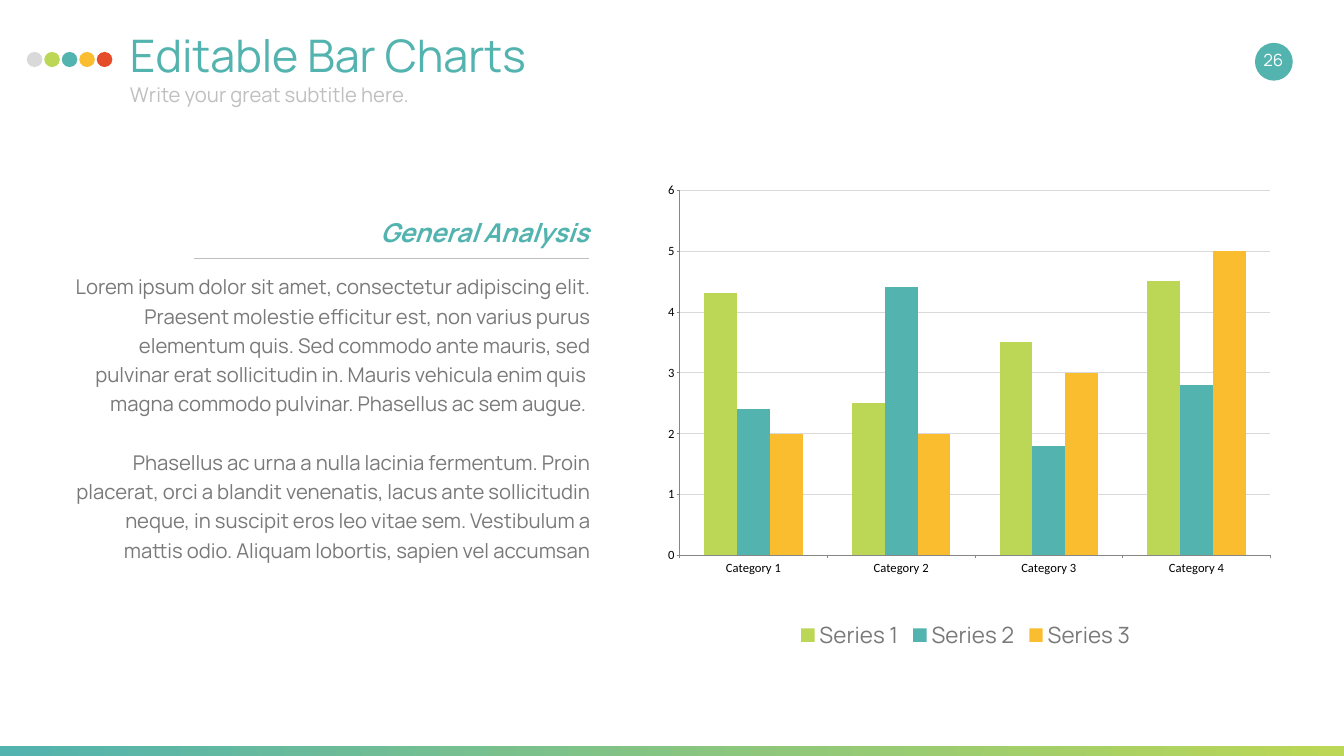
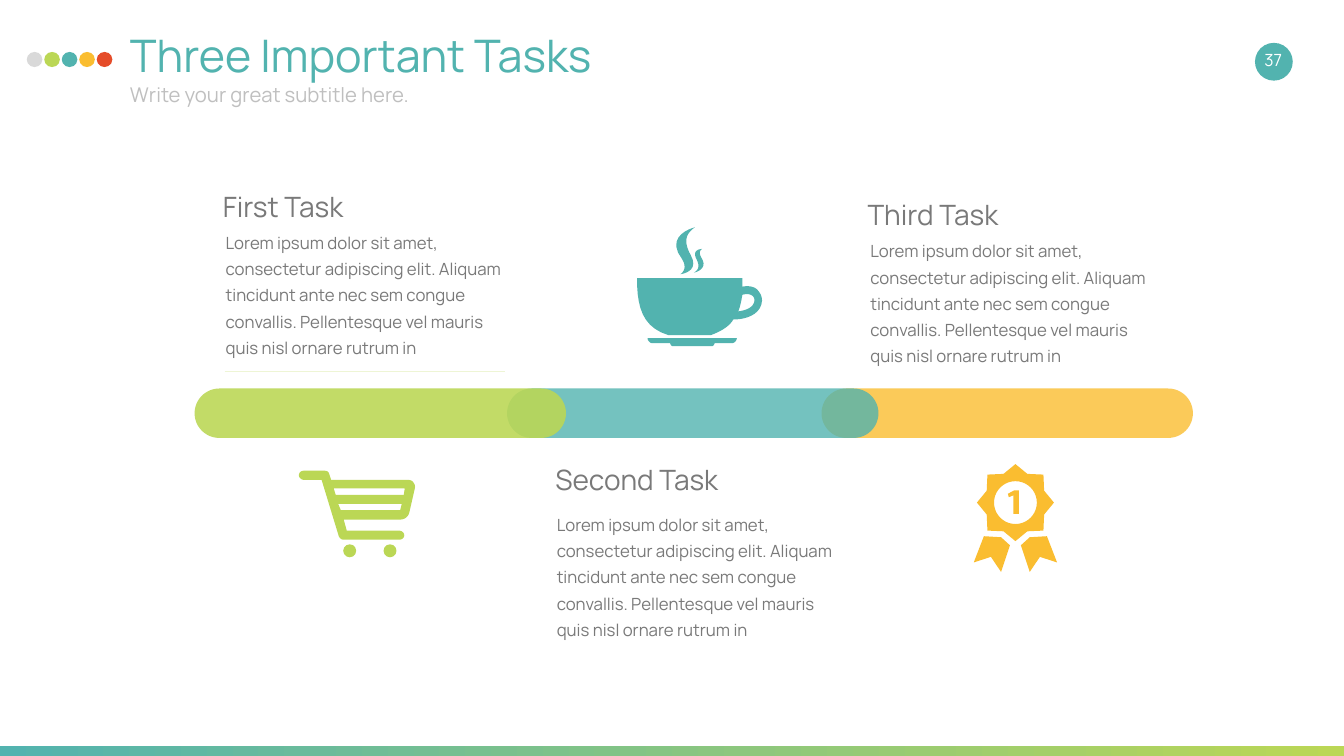
import pptx
import pptx.chart.data
import pptx.dml.color
import pptx.enum.chart
import pptx.enum.dml
import pptx.enum.shapes
import pptx.enum.text
import pptx.oxml
import pptx.oxml.ns
import pptx.util
from lxml import etree

Pt = pptx.util.Pt
RGB = pptx.dml.color.RGBColor
SHAPE = pptx.enum.shapes.MSO_SHAPE
ALIGN = pptx.enum.text.PP_ALIGN
ANCHOR = pptx.enum.text.MSO_ANCHOR
CHART = pptx.enum.chart
qn = pptx.oxml.ns.qn

TEAL = RGB(0x52, 0xB3, 0xAF)
LIME = RGB(0xBB, 0xD7, 0x55)
GOLD = RGB(0xFA, 0xBD, 0x30)
RED = RGB(0xE5, 0x4C, 0x29)
PALE = RGB(0xD9, 0xD9, 0xD9)
SILVER = RGB(0xBF, 0xBF, 0xBF)
GREY = RGB(0x79, 0x79, 0x79)
AXIS = RGB(0x86, 0x86, 0x86)
MIST = RGB(0xEE, 0xF5, 0xD5)
WHITE = RGB(0xFF, 0xFF, 0xFF)
BLACK = RGB(0, 0, 0)
FACE = "Manrope"

# ---- Content ----
SUBTITLE = "Write your great subtitle here."
DOTS = [PALE, LIME, TEAL, GOLD, RED]

HEADING = "General Analysis"
ANALYSIS = [
    "Lorem ipsum dolor sit amet, consectetur adipiscing elit. Praesent molestie "
    "efficitur est, non varius purus elementum quis. Sed commodo ante mauris, sed "
    "pulvinar erat sollicitudin in. Mauris vehicula enim quis ",
    "magna commodo pulvinar. Phasellus ac sem augue. ",
    "Phasellus ac urna a nulla lacinia fermentum. Proin placerat, orci a blandit "
    "venenatis, lacus ante sollicitudin neque, in suscipit eros leo vitae sem. "
    "Vestibulum a mattis odio. Aliquam lobortis, sapien vel accumsan",
]
GROUPS = ["Category 1", "Category 2", "Category 3", "Category 4"]
SERIES = [
    ("Series 1", (4.3, 2.5, 3.5, 4.5), LIME),
    ("Series 2", (2.4, 4.4, 1.8, 2.8), TEAL),
    ("Series 3", (2, 2, 3, 5), GOLD),
]

TASK = ("Lorem ipsum dolor sit amet, consectetur adipiscing elit. Aliquam tincidunt "
        "ante nec sem congue convallis. Pellentesque vel mauris quis nisl ornare "
        "rutrum in")
# name, name corner, text corner
TASKS = [
    ("First Task", (299, 270), (303, 314)),
    ("Second Task", (774, 660), (776, 717)),
    ("Third Task", (1220, 282), (1224, 326)),
]
# left edge, colour, opacity in percent; from back to front
BARS = [(1173.6, GOLD, 80), (724.4, TEAL, 80), (278, LIME, 89)]

# Outlines: a pair is a corner, six numbers are a Bezier curve.
CART = [
    [(7, 13), (32.4, 13), (57, 93.6), (58.3, 96.5, 61, 98.6, 64, 98.6),
     (143.3, 98.6), (147, 98.6, 150.5, 95.8, 150.5, 92.2),
     (150.5, 88.6, 147, 85.7, 143.3, 85.7), (68.4, 85.7), (64, 69.8),
     (144.7, 69.8), (151.2, 69.8, 156.2, 65.5, 157.7, 59.8), (165.6, 25.2),
     (166.3, 21.6, 165.6, 19.4, 163.4, 16.6), (162, 13.7, 157.7, 13, 154.8, 13),
     (46, 13), (43.2, 4.3), (42.5, 1.4, 39.6, 0, 36.7, 0), (7, 0),
     (3.6, 0, 0, 2.2, 0, 6.5), (0, 10, 3.6, 13, 7, 13)],
    [(144.7, 56.2), (59.8, 56.2), (56.2, 47.5), (146.9, 47.5)],
    [(49.7, 25.2), (151.2, 25.2), (149.8, 34.6), (52.6, 34.6)],
]
SAUCER = [
    [(22.3, 165.6), (47.5, 165.6), (47.5, 167, 49, 169.9, 51.8, 169.9),
     (107.3, 169.9), (108.7, 169.9, 110.9, 167, 110.9, 165.6), (135.4, 165.6),
     (139.7, 165.6, 142.6, 161.3, 142.6, 158.4), (15.1, 158.4),
     (15.1, 161.3, 18, 165.6, 22.3, 165.6)],
]
BOWL = [
    [(172, 89.3), (166.3, 83.5, 156.2, 83.5, 150.5, 85), (150.5, 72.7),
     (0, 72.7), (0, 113, 7.2, 142.6, 44.6, 154), (105.8, 154),
     (121, 148.3, 132.5, 141, 137.5, 131.8), (153.4, 131.8, 177, 126, 178.6, 105),
     (178.6, 96.5, 174.2, 92.2, 172, 89.3)],
    [(144.7, 120.2), (147.6, 113, 149, 105, 150.5, 96.5),
     (154.8, 95, 162, 95, 165, 98), (165, 98, 167.8, 99.4, 167.8, 105),
     (166.3, 116, 153.4, 118.8, 144.7, 120.2)],
]
STEAM = [
    [(62, 67), (62, 67, 90, 64, 77, 40.3), (66.2, 20.9, 69, 9.4, 82.8, 0),
     (82.8, 0, 37.4, 10.8, 64.8, 46), (73.4, 60.5, 62, 67, 62, 67)],
]
WISP = [
    [(81.4, 64.8), (81.4, 64.8, 103.7, 60.5, 91.4, 42.5),
     (87, 33.8, 92.9, 31, 92.9, 31), (92.9, 31, 78.5, 31, 84.2, 44),
     (90, 54.7, 88.6, 60.5, 81.4, 64.8)],
]
TAIL = [(-45, 48), (-59.5, 85.5), (-35, 77.5), (-20.5, 99), (-7.8, 61), (-20.5, 49.5)]
ONE = [(-10.8, -12.6), (-9.4, -7.6), (-2.9, -10.4), (-2.9, 16.2), (5, 16.2),
       (5, -17.6), (-1.4, -17.6)]
EDGE = [(0, -55), (17, -41), (40, -40), (41, -17)]
ARC = [(16.9, -30.6, 30.6, -16.9, 30.6, 0)]


# ---- Helpers ----
def apply(item, values):
    for name, value in values.items():
        setattr(item, name, value)


def style(font, size, color, face=FACE, **more):
    apply(font, {"size": Pt(size), "name": face, **more})
    font.color.rgb = color


def paint(shape, color, alpha=100):
    """Give a shape a plain fill, no line and no shadow."""
    shape.shadow.inherit = False
    shape.line.fill.background()
    shape.fill.solid()
    shape.fill.fore_color.rgb = color
    if alpha < 100:
        tint = shape.fill._xPr.find(".//" + qn("a:srgbClr"))
        etree.SubElement(tint, qn("a:alpha")).set("val", str(alpha * 1000))
    return shape


def add(slide, kind, box, color, alpha=100):
    shape = slide.shapes.add_shape(kind, *map(Pt, box))
    return paint(shape, color, alpha)


def write(slide, box, lines, size, color, align=ALIGN.LEFT, anchor=ANCHOR.TOP,
          pad=9.4, space=None, gaps=(), grow=False, **look):
    """Add a text box; gaps holds the paragraphs that stand one line apart."""
    frame = slide.shapes.add_textbox(*map(Pt, box)).text_frame
    fit = pptx.enum.text.MSO_AUTO_SIZE
    apply(frame, {
        "word_wrap": True, "vertical_anchor": anchor,
        "auto_size": fit.SHAPE_TO_FIT_TEXT if grow else fit.NONE,
        "margin_left": Pt(19.4), "margin_right": Pt(19.4),
        "margin_top": Pt(pad), "margin_bottom": Pt(pad)})
    for i, line in enumerate(lines):
        para = frame.paragraphs[0] if i == 0 else frame.add_paragraph()
        apply(para, {"alignment": align, "line_spacing": space})
        if i in gaps:
            para.space_before = Pt(42)
        run = para.add_run()
        run.text = line
        style(run.font, size, color, **look)


def rule(slide, left, right, y, color, width):
    line = slide.shapes.add_connector(
        pptx.enum.shapes.MSO_CONNECTOR.STRAIGHT, Pt(left), Pt(y), Pt(right), Pt(y))
    line.line.color.rgb = color
    line.line.width = Pt(width)
    etree.SubElement(line._element.spPr, qn("a:effectLst"))


def flatten(loop, steps=10):
    """Turn an outline with curves into a list of points."""
    points = []
    for part in loop:
        if len(part) == 2:
            points.append(part)
            continue
        start = points[-1]
        for t in (n / steps for n in range(1, steps + 1)):
            u = 1 - t
            points.append(tuple(
                u**3 * start[k] + 3 * u * u * t * part[k]
                + 3 * u * t * t * part[k + 2] + t**3 * part[k + 4] for k in (0, 1)))
    return points


def trace(slide, corner, loops, color):
    paths = [[(Pt(corner[0] + x), Pt(corner[1] + y)) for x, y in flatten(loop)]
             for loop in loops]
    pen = slide.shapes.build_freeform(*paths[0][0])
    for i, points in enumerate(paths):
        if i:
            pen.move_to(*points[0])
        pen.add_line_segments(points[1:], close=True)
    paint(pen.convert_to_shape(), color)


def spin(parts):
    """Repeat a quarter outline four times around the centre."""
    whole = []
    for _ in range(4):
        whole += parts
        parts = [tuple(v for x, y in zip(p[::2], p[1::2]) for v in (-y, x))
                 for p in parts]
    return whole


def start(deck, title, number):
    """Add a slide with the shared band, dots, titles and page number."""
    slide = deck.slides.add_slide(deck.slide_layouts[6])
    band = add(slide, SHAPE.RECTANGLE, (0, 1065, 1920, 27), TEAL)
    band.fill.gradient()
    band.fill.gradient_angle = 0
    for stop, color in zip(band.fill.gradient_stops, (TEAL, LIME)):
        stop.color.rgb = color
    add(slide, SHAPE.OVAL, (1792.8, 61.2, 54, 54), TEAL)
    for i, color in enumerate(DOTS):
        add(slide, SHAPE.OVAL, (38.2 + 25 * i, 74.2, 22.3, 21.6), color)
    write(slide, (166.3, 29.5, 1530, 115), [title], 64, TEAL)
    write(slide, (166.3, 108, 1530, 61), [SUBTITLE], 29, SILVER)
    write(slide, (1777, 56.2, 84, 57.6), [str(number)], 24, WHITE,
          ALIGN.CENTER, ANCHOR.MIDDLE)
    return slide


def plot(slide):
    data = pptx.chart.data.CategoryChartData()
    data.categories = GROUPS
    for name, values, _ in SERIES:
        data.add_series(name, values)
    chart = slide.shapes.add_chart(
        CHART.XL_CHART_TYPE.COLUMN_CLUSTERED,
        *map(Pt, (935.3, 257.8, 888.5, 678.2)), data).chart
    style(chart.font, 18, BLACK, "Calibri")
    apply(chart, {"has_title": False, "has_legend": True})
    apply(chart.legend, {"position": CHART.XL_LEGEND_POSITION.BOTTOM,
                         "include_in_layout": False})
    style(chart.legend.font, 32, GREY)
    apply(chart.plots[0], {"gap_width": 150, "overlap": 0, "vary_by_categories": False})
    for series, (_, _, color) in zip(chart.plots[0].series, SERIES):
        series.format.fill.solid()
        series.format.fill.fore_color.rgb = color
    for axis in (chart.category_axis, chart.value_axis):
        axis.major_tick_mark = CHART.XL_TICK_MARK.OUTSIDE
        axis.format.line.color.rgb = AXIS
    scale = chart.value_axis
    apply(scale, {"minimum_scale": 0, "maximum_scale": 6, "major_unit": 1,
                  "has_major_gridlines": True})
    scale.major_gridlines.format.line.color.rgb = PALE
    scale.major_gridlines.format.line.width = Pt(0.75)

    area = chart._chartSpace.chart.plotArea
    for old in area.findall(qn("c:layout")):
        area.remove(old)
    layout = etree.Element(qn("c:layout"))
    area.insert(0, layout)
    inner = etree.SubElement(layout, qn("c:manualLayout"))
    for tag, value in (("layoutTarget", "inner"), ("xMode", "edge"), ("yMode", "edge"),
                       ("x", 0.04), ("y", 0.02), ("w", 0.95), ("h", 0.77)):
        etree.SubElement(inner, qn("c:" + tag)).set("val", str(value))


# ---- Slides ----
def charts(deck):
    slide = start(deck, "Editable Bar Charts", 26)
    plot(slide)
    write(slide, (77.8, 375.8, 785.5, 482.4), ANALYSIS, 29, GREY, ALIGN.RIGHT,
          space=1.2, gaps=(2,))
    write(slide, (81.4, 291.6, 779, 72), [HEADING], 37, TEAL, ALIGN.RIGHT,
          space=1.2, grow=True, bold=True, italic=True)
    rule(slide, 276.5, 841.7, 368, SILVER, 0.25)


def tasks(deck):
    slide = start(deck, "Three Important Tasks", 37)
    for left, color, alpha in BARS:
        bar = add(slide, SHAPE.ROUNDED_RECTANGLE, (left, 555, 530.6, 70.6), color, alpha)
        bar.adjustments[0] = 0.5
    rule(slide, 321, 722, 530.6, MIST, 2)
    for name, head, body in TASKS:
        write(slide, (*body, 440, 206.6), [TASK], 24, GREY, anchor=ANCHOR.MIDDLE,
              space=1.3, grow=True)
        write(slide, (*head, 404.6, 48.2), [name], 40, GREY, anchor=ANCHOR.MIDDLE,
              pad=0, grow=True)

    trace(slide, (427, 672.5), CART, LIME)
    for left in (490.3, 547.9):
        add(slide, SHAPE.OVAL, (left, 777.6, 18.5, 18.5), LIME)
    for part in (SAUCER, BOWL, STEAM, WISP):
        trace(slide, (910, 324.7), part, TEAL)
    mirror = [(-x, y) for x, y in TAIL]
    badge = [spin(EDGE), [(0, -30.6)] + spin(ARC)]
    for part in ([TAIL], [mirror], badge, [ONE]):
        trace(slide, (1450.6, 718), part, GOLD)


def main():
    deck = pptx.Presentation()
    apply(deck, {"slide_width": Pt(1920), "slide_height": Pt(1080)})
    charts(deck)
    tasks(deck)
    deck.save("out.pptx")


if __name__ == "__main__":
    main()
